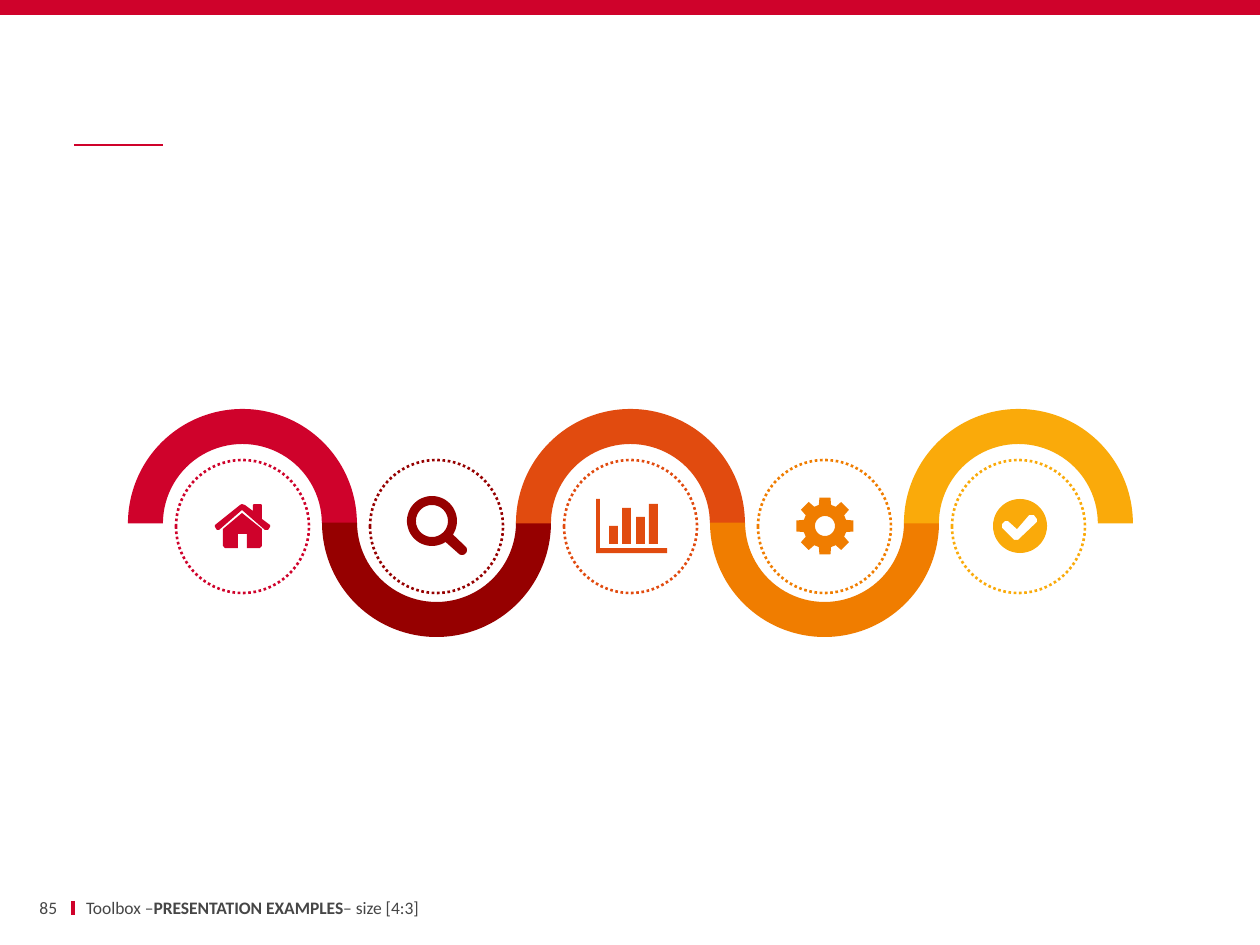
from math import cos, sin, radians
from pptx import Presentation
from pptx.dml.color import RGBColor
from pptx.enum.dml import MSO_LINE
from pptx.enum.shapes import MSO_CONNECTOR, MSO_SHAPE
from pptx.enum.text import MSO_ANCHOR, PP_ALIGN
from pptx.oxml.ns import qn
from pptx.util import Pt
from lxml.etree import SubElement

PX = 914400 / 126
FINE = 10  # freeform units per px
HEX = {"red": "CF022B", "dark": "960000", "rust": "E14B0F",
       "orange": "F07D00", "gold": "FAAA0A", "text": "464646"}
RGB = {name: RGBColor.from_string(code) for name, code in HEX.items()}


def arc(x, y, r, start=0, end=360, step=6):
    return [(x + r * cos(radians(a)), y + r * sin(radians(a)))
            for a in range(start, end + 1, step)]


def paint(shape, fill=None, line=None):
    shape.shadow.inherit = False
    if fill:
        shape.fill.solid()
        shape.fill.fore_color.rgb = RGB[fill]
    else:
        shape.fill.background()
    if line:
        shape.line.color.rgb = RGB[line]
    else:
        shape.line.fill.background()


deck = Presentation()
deck.slide_width, deck.slide_height = round(1260 * PX), round(945 * PX)
slide = deck.slides.add_slide(deck.slide_layouts[6])
shapes = slide.shapes

# Top band
band = shapes.add_shape(MSO_SHAPE.RECTANGLE, 0, 0, deck.slide_width, round(15 * PX))
paint(band, "red")

# Footer tick and title rule
for ends, width in [((73, 901, 73, 915), 2.25), ((74, 145, 163, 145), 1)]:
    rule = shapes.add_connector(MSO_CONNECTOR.STRAIGHT, *(round(v * PX) for v in ends))
    rule.line.color.rgb = RGB["red"]
    rule.line.width = Pt(width)
    SubElement(rule._element.spPr, qn("a:effectLst"))

# Wave of half rings, with a dotted circle in each
STEP = 194
steps = ["red", "dark", "rust", "orange", "gold"]
for i, hue in enumerate(steps):
    low = i % 2
    box = (128 + i * STEP, 409 - low, 229, 229)
    ring = shapes.add_shape(MSO_SHAPE.BLOCK_ARC, *(round(v * PX) for v in box))
    for n, value in enumerate((108, 0, 0.153)):
        ring.adjustments[n] = value
    ring.rotation = 180 * low
    paint(ring, hue)
for i, hue in enumerate(steps):
    box = (176 + i * STEP, 460, 133, 133)
    dots = shapes.add_shape(MSO_SHAPE.OVAL, *(round(v * PX) for v in box))
    paint(dots, line=hue)
    dots.line.width = Pt(1.5)
    dots.line.dash_style = MSO_LINE.ROUND_DOT

# Icon outlines, each a list of closed contours
roof = [(268, 530), (265, 530), (242, 510), (219, 530), (217, 530), (215, 527),
        (215, 525), (240, 505), (242, 504), (245, 505), (253, 511), (253, 505),
        (254, 504), (261, 504), (262, 505), (262, 519), (270, 525), (270, 527)]
walls = [(262, 546), (260, 548), (247, 548), (247, 534), (238, 534), (238, 548),
         (225, 548), (223, 546), (223, 529), (242, 513), (262, 529)]
lens = arc(432, 521, 25, 57, 393) + arc(462, 550, 5, -45, 135)
axes = [(596, 499), (600, 499), (600, 548), (667, 548), (667, 553), (596, 553)]
bars = [[(x, 544), (x, top), (x + 9, top), (x + 9, 544)]
        for x, top in [(609, 526), (622, 508), (636, 517), (649, 504)]]
gear = [(825 + r * cos(radians(a + turn)), 526 + r * sin(radians(a + turn)))
        for a in range(0, 360, 45)
        for r, turn in [(22, -16), (29, -11), (29, 11), (22, 16)]]
tick = [(1037, 519), (1034, 515), (1029, 515), (1017, 529), (1008, 521), (1005, 521),
        (1002, 524), (1002, 528), (1014, 540), (1018, 540), (1037, 522)]
icons = {"red": [roof, walls],
         "dark": [lens, arc(432, 521, 16)],
         "rust": [axes, *bars],
         "orange": [gear, arc(825, 526, 10)],
         "gold": [arc(1020, 526, 27), tick]}
for hue, loops in icons.items():
    pen = None
    for loop in loops:
        first, *rest = [(x * FINE, y * FINE) for x, y in loop]
        if pen is None:
            pen = shapes.build_freeform(*first, scale=PX / FINE)
        else:
            pen.move_to(*first)
        pen.add_line_segments(rest, close=True)
    paint(pen.convert_to_shape(), hue)

# Footer: page number and label
label = [("Toolbox –", False), ("PRESENTATION EXAMPLES", True), ("– size [4:3]", False)]
for box, side, align, runs in [((16, 896, 41, 23), 0, PP_ALIGN.RIGHT, [("85", False)]),
                               ((73, 896, 626, 23), 13, PP_ALIGN.LEFT, label)]:
    frame = shapes.add_textbox(*(round(v * PX) for v in box)).text_frame
    style = {"word_wrap": True, "vertical_anchor": MSO_ANCHOR.MIDDLE,
             "margin_left": round(side * PX), "margin_right": round(side * PX),
             "margin_top": round(6 * PX), "margin_bottom": round(6 * PX)}
    for key, value in style.items():
        setattr(frame, key, value)
    para = frame.paragraphs[0]
    para.alignment = align
    for words, bold in runs:
        run = para.add_run()
        run.text = words
        for key, value in {"name": "Calibri", "size": Pt(10), "bold": bold}.items():
            setattr(run.font, key, value)
        run.font.color.rgb = RGB["text"]

deck.save("out.pptx")
